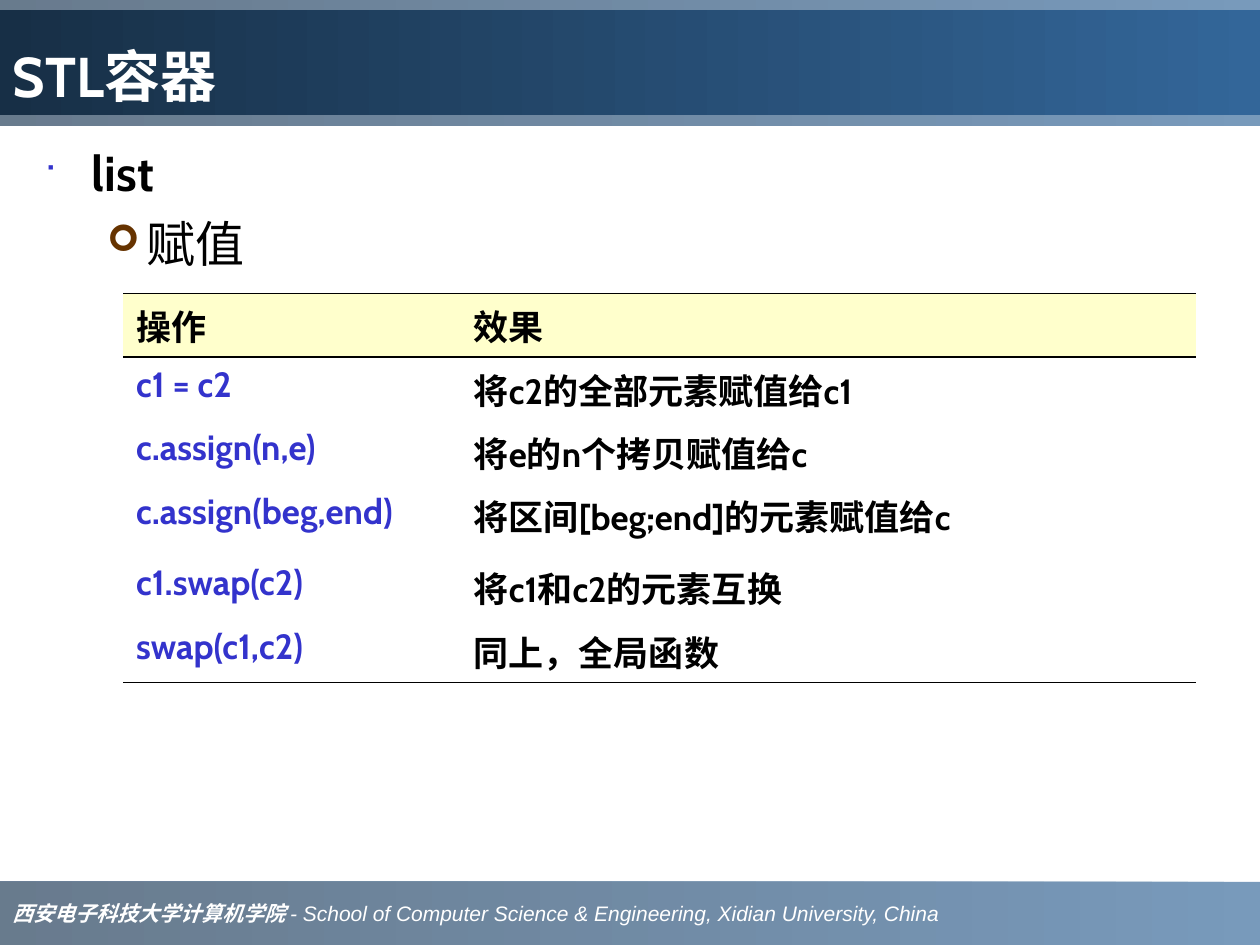
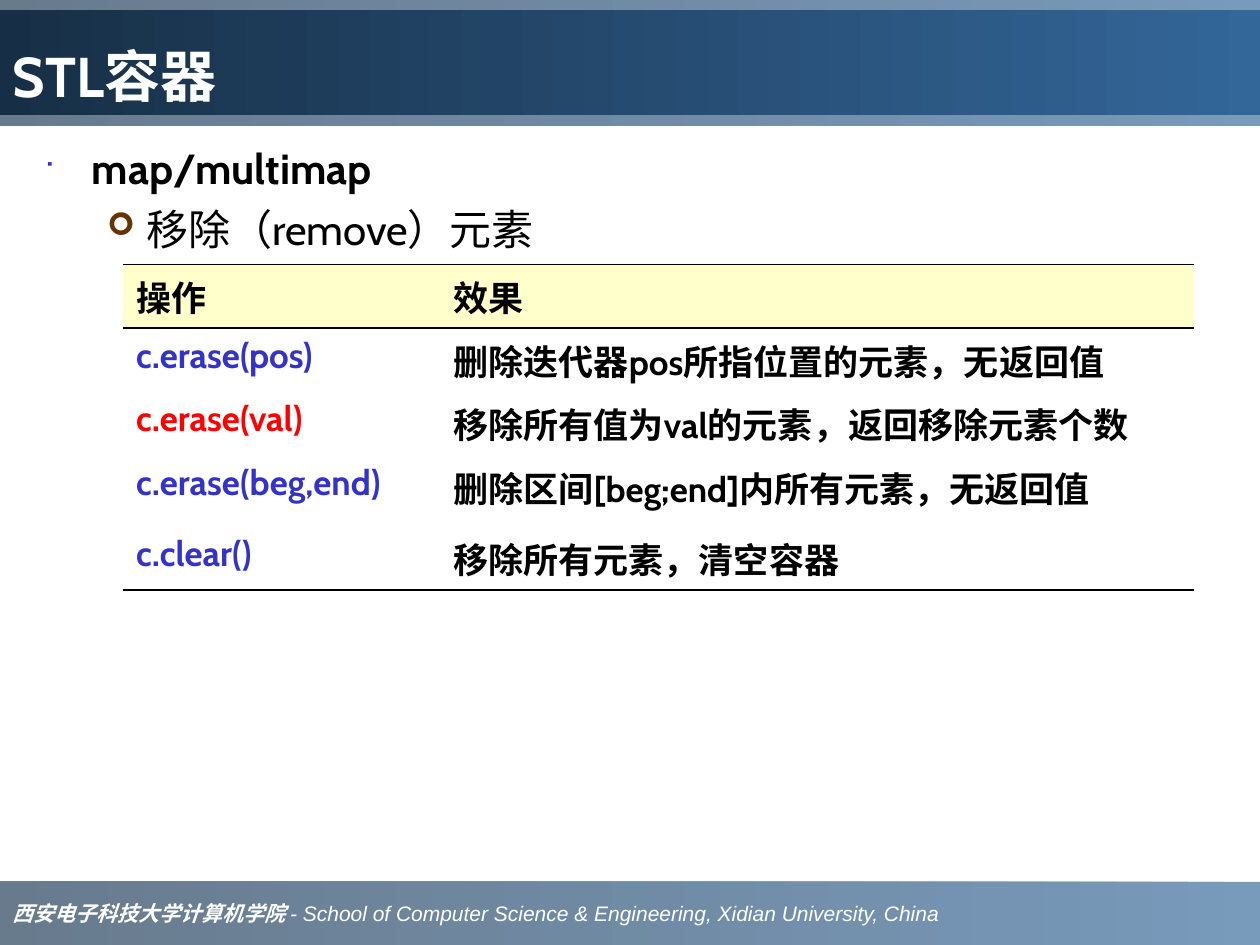
import pptx
import pptx.dml.color
import pptx.enum.shapes
import pptx.enum.text
import pptx.oxml
import pptx.oxml.ns
import pptx.util
from lxml import etree

Inches = pptx.util.Inches
Pt = pptx.util.Pt
qn = pptx.oxml.ns.qn
Anchor = pptx.enum.text.MSO_ANCHOR
LEFT = pptx.enum.text.PP_ALIGN.LEFT

BLACK = "000000"
WHITE = "FFFFFF"
INDIGO = "3333CC"
RED = "FF0000"
CREAM = "FFFFCC"
BAND_COLORS = ("336699", "1B3753")
TITLE_COLORS = ("336699", "172F46")

TITLE_FONT = {"name": "Cabin", "size": Pt(32), "bold": True, "color": WHITE}
CELL_FONT = {"name": "Cabin", "size": Pt(20), "bold": True, "color": BLACK}
SCHOOL_FONT = {"name": "Times New Roman", "size": Pt(12), "bold": True, "italic": True, "color": WHITE}
ADDRESS_FONT = {**SCHOOL_FONT, "name": "Arial", "bold": False}
BULLETS = (
    {"char": "■", "color": INDIGO, "percent": 60, "left": 0.38, "hang": 0.38, "bold": True},
    {"char": "➢", "color": "663300", "percent": 75, "left": 0.81, "hang": 0.31, "bold": False},
)
RULE = 0.75
EDGE = 1.08


def rgb(value):
    return pptx.dml.color.RGBColor.from_string(value)


def format_font(font, values):
    for name, value in values.items():
        if name == "color":
            font.color.rgb = rgb(value)
        else:
            setattr(font, name, value)


def place(shape, left, top, width, height):
    for name, value in {"left": left, "top": top, "width": width, "height": height}.items():
        setattr(shape, name, Inches(value))


def add_span(para, text, font):
    span = para.add_run()
    span.text = text
    format_font(span.font, font)


def fill_gradient(shape, colors, opacity=100):
    shape.fill.gradient()
    shape.fill.gradient_angle = 180
    for stop, color, position in zip(shape.fill.gradient_stops, colors, (0, 1)):
        stop.color.rgb = rgb(color)
        stop.position = position
    if opacity < 100:
        for color in shape.element.spPr.iter(qn("a:srgbClr")):
            etree.SubElement(color, qn("a:alpha"), val=str(opacity * 1000))


def add_band(page, top, height):
    rectangle = pptx.enum.shapes.MSO_SHAPE.RECTANGLE
    band = page.shapes.add_shape(rectangle, 0, Inches(top), Inches(10), Inches(height))
    band.shadow.inherit = False
    band.line.fill.background()
    fill_gradient(band, BAND_COLORS, 66)
    return band


def add_shared_bands(layout, page):
    header = add_band(page, 0, 1)
    footer = add_band(page, 7, 0.5)
    frame = footer.text_frame
    frame.word_wrap = False
    frame.vertical_anchor = Anchor.MIDDLE
    para = frame.paragraphs[0]
    para.alignment = LEFT
    add_span(para, "西安电子科技大学计算机学院 ", SCHOOL_FONT)
    add_span(para, "- School of Computer Science & Engineering, Xidian University, China", ADDRESS_FONT)
    for band in (header, footer):
        layout.shapes.element.insert(2, band.element)


def set_title(page, text):
    title = page.shapes.title
    place(title, 0, 0.08, 10, 0.83)
    fill_gradient(title, TITLE_COLORS)
    frame = title.text_frame
    frame.auto_size = pptx.enum.text.MSO_AUTO_SIZE.NONE
    frame.vertical_anchor = Anchor.BOTTOM
    para = frame.paragraphs[0]
    para.alignment = LEFT
    add_span(para, text, TITLE_FONT)


def set_bullet(para, bullet):
    properties = para._p.get_or_add_pPr()
    properties.set("marL", str(Inches(bullet["left"])))
    properties.set("indent", str(-Inches(bullet["hang"])))
    color = etree.SubElement(properties, qn("a:buClr"))
    etree.SubElement(color, qn("a:srgbClr"), val=bullet["color"])
    etree.SubElement(properties, qn("a:buSzPct"), val=str(bullet["percent"] * 1000))
    etree.SubElement(properties, qn("a:buFont"), typeface="Wingdings")
    etree.SubElement(properties, qn("a:buChar"), char=bullet["char"])


def set_outline(page, lines, size, gap):
    body = page.placeholders[1]
    place(body, 0.25, 1.08, 9.42, 5.83)
    frame = body.text_frame
    frame.auto_size = pptx.enum.text.MSO_AUTO_SIZE.NONE
    for level, (text, bullet) in enumerate(zip(lines, BULLETS)):
        para = frame.add_paragraph() if level else frame.paragraphs[0]
        para.level = level
        set_bullet(para, bullet)
        para.space_before = Pt(gap if level else 0)
        add_span(para, text, {"name": "Cabin", "size": Pt(size), "bold": bullet["bold"], "color": BLACK})


def set_borders(cell, top, bottom):
    properties = cell._tc.get_or_add_tcPr()
    widths = {"a:lnL": 0, "a:lnR": 0, "a:lnT": top, "a:lnB": bottom}
    for index, (tag, width) in enumerate(widths.items()):
        line = etree.Element(qn(tag), w=str(Pt(width)))
        if width:
            fill = etree.SubElement(line, qn("a:solidFill"))
            etree.SubElement(fill, qn("a:srgbClr"), val=BLACK)
        else:
            etree.SubElement(line, qn("a:noFill"))
        properties.insert(index, line)


def fill_cell(cell, text, color, is_header, is_last):
    if is_header:
        cell.fill.solid()
        cell.fill.fore_color.rgb = rgb(CREAM)
    else:
        cell.fill.background()
    add_span(cell.text_frame.paragraphs[0], text, {**CELL_FONT, "color": color})
    return EDGE if is_header else 0, RULE if is_header else EDGE if is_last else 0


def add_operations(page, top, widths, heights, operations, highlight=None):
    rows = [("操作", "效果"), *operations]
    frame = page.shapes.add_table(
        len(rows), 2, Inches(0.98), Inches(top), Inches(sum(widths)), Inches(sum(heights))
    )
    table = frame.table
    table.first_row = table.horz_banding = False
    for column, width in zip(table.columns, widths):
        column.width = Inches(width)
    for index, (height, (operation, effect)) in enumerate(zip(heights, rows)):
        table.rows[index].height = Inches(height)
        is_header, is_last = index == 0, index == len(rows) - 1
        code_color = BLACK if is_header else RED if operation == highlight else INDIGO
        for column, (text, color) in enumerate(((operation, code_color), (effect, BLACK))):
            cell = table.cell(index, column)
            above, below = fill_cell(cell, text, color, is_header, is_last)
            set_borders(cell, RULE if index == 1 else above, below)


def add_page(deck, lines, size, gap):
    page = deck.slides.add_slide(deck.slide_layouts[1])
    set_title(page, "STL容器")
    set_outline(page, lines, size, gap)
    return page


def main():
    deck = pptx.Presentation()
    deck.slide_width, deck.slide_height = Inches(10), Inches(7.5)

    assignment = add_page(deck, ("list", "赋值"), 28, 7)
    add_shared_bands(deck.slide_layouts[1], assignment)
    add_operations(assignment, 2.33, (2.68, 5.83), (0.39, 0.45, 0.5, 0.57, 0.5, 0.49), (
        ("c1 = c2", "将c2的全部元素赋值给c1"),
        ("c.assign(n,e)", "将e的n个拷贝赋值给c"),
        ("c.assign(beg,end)", "将区间[beg;end]的元素赋值给c"),
        ("c1.swap(c2)", "将c1和c2的元素互换"),
        ("swap(c1,c2)", "同上，全局函数"),
    ))

    removal = add_page(deck, ("map/multimap", "移除（remove）元素"), 24, 6)
    add_operations(removal, 2.1, (2.52, 5.98), (0.35, 0.44, 0.51, 0.56, 0.44), (
        ("c.erase(pos)", "删除迭代器pos所指位置的元素，无返回值"),
        ("c.erase(val)", "移除所有值为val的元素，返回移除元素个数"),
        ("c.erase(beg,end)", "删除区间[beg;end]内所有元素，无返回值"),
        ("c.clear()", "移除所有元素，清空容器"),
    ), highlight="c.erase(val)")

    deck.save("out.pptx")


if __name__ == "__main__":
    main()
